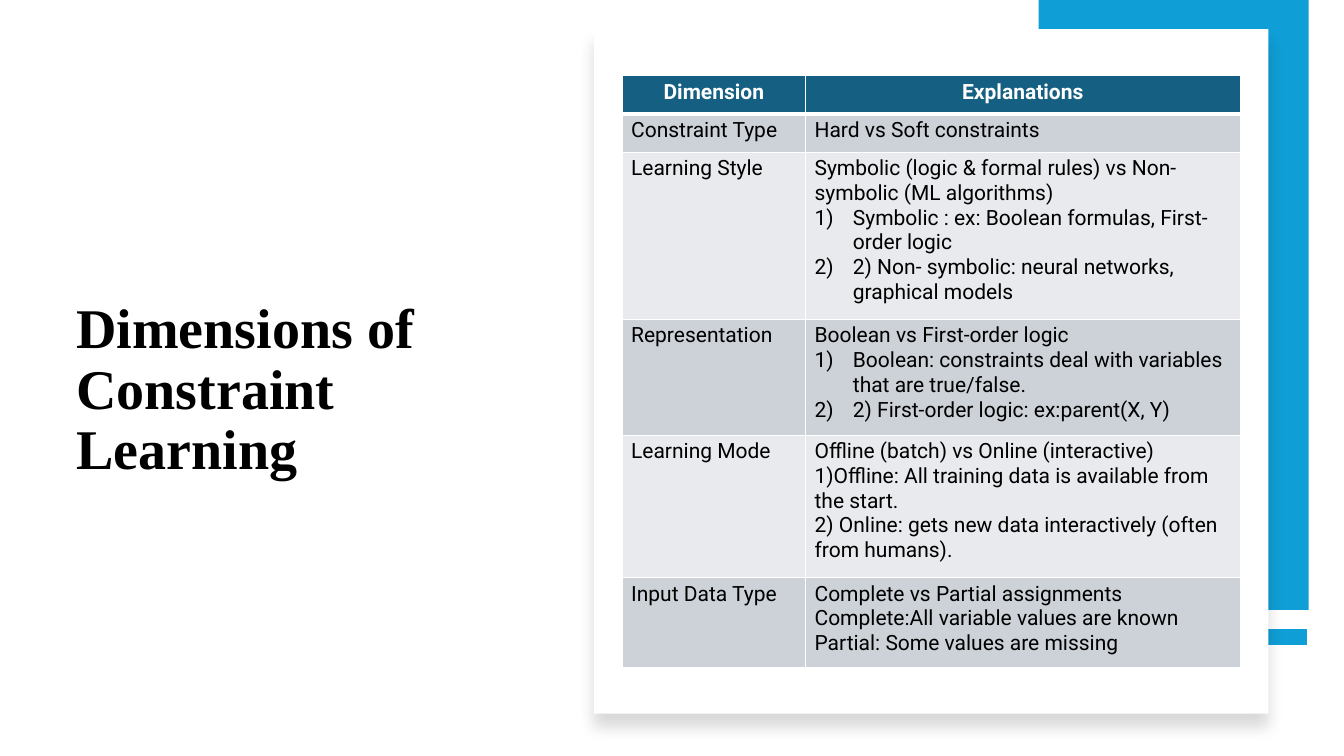
from lxml import etree
from pptx import Presentation
from pptx.dml.color import RGBColor
from pptx.enum.shapes import MSO_CONNECTOR, MSO_SHAPE
from pptx.enum.text import MSO_ANCHOR, PP_ALIGN
from pptx.oxml.ns import qn
from pptx.util import Inches, Pt

RECTANGLE = MSO_SHAPE.RECTANGLE
STRAIGHT = MSO_CONNECTOR.STRAIGHT
BOTTOM = MSO_ANCHOR.BOTTOM
LEFT, CENTER = PP_ALIGN.LEFT, PP_ALIGN.CENTER

WHITE = RGBColor(0xFF, 0xFF, 0xFF)
BLACK = RGBColor(0x00, 0x00, 0x00)
ACCENT = RGBColor(0x0F, 0x9E, 0xD5)
HEADER = RGBColor(0x15, 0x60, 0x82)
BANDS = (RGBColor(0xCC, 0xD2, 0xD8), RGBColor(0xE8, 0xEA, 0xED))

TITLE_FONT = {"name": "Times New Roman", "size": Pt(40), "bold": True}
HEADER_FONT = {"name": "Roboto", "size": Pt(15), "bold": True}
BODY_FONT = {"name": "Roboto", "size": Pt(15), "bold": False}
CELL_MARGINS = {
    "margin_left": Inches(0.09), "margin_right": Inches(0.09),
    "margin_top": Inches(0.04), "margin_bottom": Inches(0.04),
}

NUMBERED = "numbered"
PLAIN = "plain"
COLUMN_WIDTHS = (1.82, 4.31)
ROW_HEIGHTS = (0.38, 0.38, 1.66, 1.15, 1.41, 0.89)
HEADINGS = ("Dimension", "Explanations")
DIMENSIONS = (
    ("Constraint Type", PLAIN, ("Hard vs Soft constraints",)),
    ("Learning Style", NUMBERED, (
        "Symbolic (logic & formal rules) vs Non-symbolic (ML algorithms)",
        "Symbolic : ex: Boolean formulas, First-order logic",
        "2) Non- symbolic: neural networks, graphical models")),
    ("Representation", NUMBERED, (
        "Boolean vs First-order logic",
        "Boolean: constraints deal with variables that are true/false.",
        "2) First-order logic: ex:parent(X, Y)")),
    ("Learning Mode", PLAIN, (
        "Offline (batch) vs Online (interactive)",
        "1)Offline: All training data is available from the start.",
        "2) Online: gets new data interactively (often from humans).")),
    ("Input Data Type", PLAIN, (
        "Complete vs Partial assignments",
        "Complete:All variable values are known",
        "Partial: Some values are missing")),
)


def apply_format(target, values):
    """Set each named attribute on the target."""
    for name, value in values.items():
        setattr(target, name, value)


def add_child(parent, tag, **attributes):
    """Append a drawing element and return it."""
    child = etree.SubElement(parent, qn(tag))
    for name, value in attributes.items():
        child.set(name, str(value))
    return child


def write_paragraph(paragraph, text, font, color, alignment=LEFT):
    """Write one formatted run into a paragraph."""
    paragraph.alignment = alignment
    run = paragraph.add_run()
    run.text = text
    apply_format(run.font, font)
    run.font.color.rgb = color


def add_title(slide, text):
    """Add the bottom-anchored slide title."""
    box = slide.shapes.add_textbox(Inches(0.66), Inches(0.74), Inches(4.56), Inches(4.09))
    frame = box.text_frame
    apply_format(frame, {"word_wrap": True, "vertical_anchor": BOTTOM})
    paragraph = frame.paragraphs[0]
    paragraph.line_spacing = 0.9
    write_paragraph(paragraph, text, TITLE_FONT, BLACK)


def add_panel(slide, left, top, width, height, color):
    """Add a filled rectangle without outline or shadow."""
    shape = slide.shapes.add_shape(
        RECTANGLE, Inches(left), Inches(top), Inches(width), Inches(height))
    shape.shadow.inherit = False
    shape.fill.solid()
    shape.fill.fore_color.rgb = color
    shape.line.fill.background()
    return shape


def add_shadow(shape):
    """Give a shape a soft shadow below it."""
    effects = shape._element.spPr.find(qn("a:effectLst"))
    shadow = add_child(effects, "a:outerShdw", blurRad=Pt(11), dist=Pt(10),
                       dir=90 * 60000, algn="t", rotWithShape=0)
    color = add_child(shadow, "a:srgbClr", val=BLACK)
    add_child(color, "a:alpha", val=15000)


def add_bar(slide, left, right, y):
    """Add the thick horizontal accent line."""
    line = slide.shapes.add_connector(STRAIGHT, Inches(right), Inches(y), Inches(left), Inches(y))
    line.line.color.rgb = ACCENT
    line.line.width = Pt(12)
    add_child(line._element.spPr, "a:effectLst")


def style_cell(cell, fill, top, bottom):
    """Set the margins, white borders and fill of a cell."""
    apply_format(cell, CELL_MARGINS)
    properties = cell._tc.get_or_add_tcPr()
    for side, width in (("L", 1), ("R", 1), ("T", top), ("B", bottom)):
        border = add_child(properties, f"a:ln{side}", w=Pt(width))
        add_child(add_child(border, "a:solidFill"), "a:srgbClr", val=WHITE)
    cell.fill.solid()
    cell.fill.fore_color.rgb = fill


def number_paragraph(paragraph):
    """Turn a paragraph into an automatically numbered item."""
    properties = paragraph._p.get_or_add_pPr()
    properties.set("marL", str(Inches(0.38)))
    properties.set("indent", str(-Inches(0.38)))
    add_child(properties, "a:buFont", typeface="+mj-lt")
    add_child(properties, "a:buAutoNum", type="arabicParenR")


def write_explanation(cell, style, lines):
    """Write a summary line and its details into a cell."""
    frame = cell.text_frame
    for index, text in enumerate(lines):
        paragraph = frame.add_paragraph() if index else frame.paragraphs[0]
        write_paragraph(paragraph, text, BODY_FONT, BLACK)
        if index and style == NUMBERED:
            number_paragraph(paragraph)


def add_dimension_table(slide):
    """Add the table of dimensions and explanations."""
    table = slide.shapes.add_table(
        len(ROW_HEIGHTS), len(COLUMN_WIDTHS), Inches(6.17), Inches(0.75),
        Inches(sum(COLUMN_WIDTHS)), Inches(sum(ROW_HEIGHTS))).table
    for column, width in zip(table.columns, COLUMN_WIDTHS):
        column.width = Inches(width)
    for row, height in zip(table.rows, ROW_HEIGHTS):
        row.height = Inches(height)
    for cell, heading in zip(table.rows[0].cells, HEADINGS):
        style_cell(cell, HEADER, 1, 3)
        write_paragraph(cell.text_frame.paragraphs[0], heading, HEADER_FONT, WHITE, CENTER)
    for index, (name, style, lines) in enumerate(DIMENSIONS):
        name_cell, explanation_cell = table.rows[index + 1].cells
        for cell in (name_cell, explanation_cell):
            style_cell(cell, BANDS[index % 2], 1 if index else 3, 1)
        write_explanation(name_cell, PLAIN, (name,))
        write_explanation(explanation_cell, style, lines)


def main():
    """Build and save the slide."""
    presentation = Presentation()
    presentation.slide_width = Inches(13.33)
    presentation.slide_height = Inches(7.5)
    slide = presentation.slides.add_slide(presentation.slide_layouts[6])
    add_title(slide, "Dimensions of Constraint Learning")
    add_bar(slide, 10.3, 12.96, 6.32)
    add_panel(slide, 10.3, 0, 2.68, 6.05, ACCENT)
    add_shadow(add_panel(slide, 5.89, 0.29, 6.69, 6.79, WHITE))
    add_dimension_table(slide)
    presentation.save("out.pptx")


if __name__ == "__main__":
    main()
